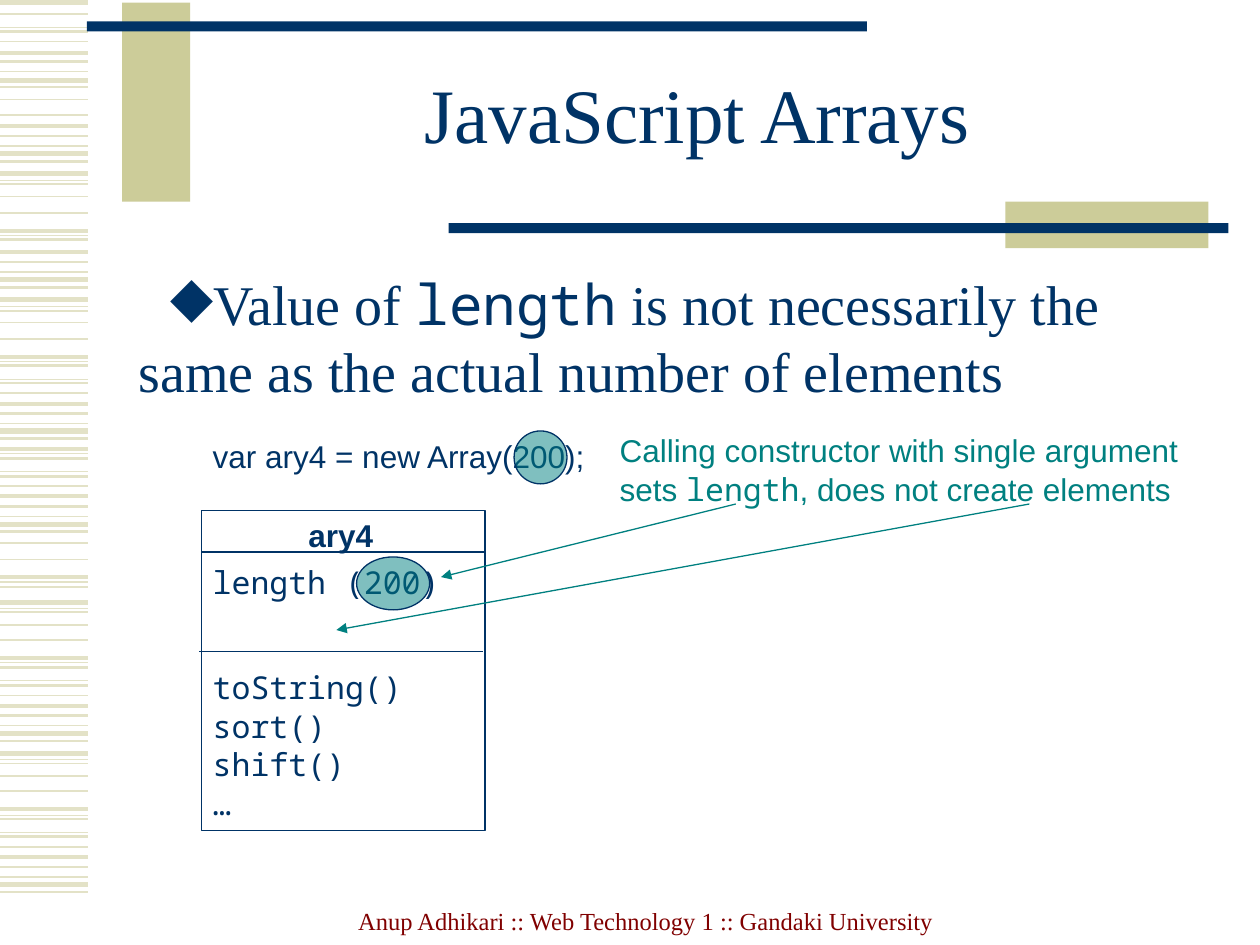
from lxml import etree
from pptx import Presentation
from pptx.dml.color import RGBColor
from pptx.enum.shapes import MSO_CONNECTOR, MSO_SHAPE
from pptx.enum.text import MSO_ANCHOR, MSO_AUTO_SIZE, PP_ALIGN
from pptx.oxml.ns import qn
from pptx.util import Inches, Pt

RECT, OVAL = MSO_SHAPE.RECTANGLE, MSO_SHAPE.OVAL
STRAIGHT = MSO_CONNECTOR.STRAIGHT
TOP, MIDDLE, BOTTOM = MSO_ANCHOR.TOP, MSO_ANCHOR.MIDDLE, MSO_ANCHOR.BOTTOM
LEFT, CENTER = PP_ALIGN.LEFT, PP_ALIGN.CENTER
FIXED, GROW = MSO_AUTO_SIZE.NONE, MSO_AUTO_SIZE.SHAPE_TO_FIT_TEXT

NAVY, TEAL, SAND, PALE, MAROON = "003366", "008080", "CCCC99", "E3E2C7", "800000"
SERIF, SANS, MONO = "Times New Roman", "Arial", "Noto Sans Mono"
STANDARD_INSETS = (0.1, 0.05, 0.1, 0.05)

# Margin stripes: line width in points -> heights on the page
STRIPE_WIDTH = 0.7
STRIPES = {
    3: [0.02, 0.64, 1.22, 1.38, 2.22, 2.38, 3.42, 4.16, 4.78, 5.82, 5.98, 7.02],
    2.25: [0.42, 1, 1.83, 2, 2.83, 3.21, 3.56, 3.94, 4.58, 5.22, 5.6, 6.42, 6.8],
    1.5: [0.11, 0.25, 0.49, 0.69, 1.08, 1.28, 1.9, 2.08, 2.28, 2.9, 3.04, 3.28, 3.48,
          3.64, 3.78, 4.02, 4.22, 4.66, 5.3, 5.44, 5.68, 5.88, 6.5, 6.64, 6.88, 7.08],
    1: [0.33, 0.79, 0.91, 1.46, 1.56, 1.69, 2.47, 2.56, 2.69, 3.12, 3.86, 4.31, 4.44,
        4.86, 4.96, 5.08, 5.52, 6.06, 6.16, 6.28, 6.72],
    0.75: [0.22, 0.57, 1.16, 1.43, 1.87, 2.16, 2.43, 2.87, 3.01, 3.36, 3.6, 3.74, 4.1,
           4.62, 4.83, 5.26, 5.4, 5.76, 6.03, 6.47, 6.61, 6.96],
}

# Decorative bars: place, colour
BARS = [
    ((0.97, 0.02, 0.54, 1.58), SAND),
    ((0.69, 0.17, 6.19, 0.08), NAVY),
    ((7.98, 1.6, 1.61, 0.37), SAND),
    ((3.56, 1.77, 6.19, 0.08), NAVY),
]

# Texts: each paragraph is a list of (text, font name)
TITLE = [[("JavaScript Arrays", SERIF)]]
FOOTER = [[("Anup Adhikari :: Web Technology 1 :: Gandaki University", SERIF)]]
POINT = [[("Value of ", SERIF), ("length", MONO),
          (" is not necessarily the same as the actual number of elements", SERIF)]]
METHODS = ["toString()", "sort()", "shift()", "…"]
REMARK = [
    [("Calling constructor with single argument", SANS)],
    [("sets ", SANS), ("length", MONO), (", does not create elements", SANS)],
]

# Diagram labels: place, paragraphs, font format
LABELS = [
    ((1.59, 3.42, 3.16, 0.4), [[("var ary4 = new Array(200);", SANS)]], {}),
    ((2.35, 4.05, 0.73, 0.4), [[("ary4", SANS)]], {"bold": True}),
    ((1.59, 4.42, 2, 0.4), [[("length (200)", MONO)]], {}),
    ((1.59, 5.25, 1.7, 1.32), [[(name, MONO)] for name in METHODS], {}),
    ((4.82, 3.37, 4.63, 0.71), REMARK, {"color": TEAL}),
]
OBJECT_BOX = (1.6, 4.05, 2.25, 2.54)
DIVIDERS = [(1.6, 4.38), (1.58, 5.17)]
HIGHLIGHTS = [(2.83, 4.42, 0.58, 0.42), (4.08, 3.42, 0.42, 0.42)]
ARROWS = [((5.84, 4), (3.5, 4.58)), ((8.17, 4), (2.67, 5))]


def rgb(value):
    return RGBColor.from_string(value)


def add_line(page, start, end, color, width=0.75, arrow=False):
    line = page.shapes.add_connector(STRAIGHT, *map(Inches, start + end))
    line.line.color.rgb = rgb(color)
    line.line.width = Pt(width)
    if arrow:
        etree.SubElement(line.line._get_or_add_ln(), qn("a:tailEnd"), type="triangle")
    etree.SubElement(line._element.spPr, qn("a:effectLst"))


def add_figure(page, kind, place, fill=None, outline=None, opacity=None):
    figure = page.shapes.add_shape(kind, *map(Inches, place))
    figure.shadow.inherit = False
    if fill:
        figure.fill.solid()
        figure.fill.fore_color.rgb = rgb(fill)
    else:
        figure.fill.background()
    if outline:
        figure.line.color.rgb = rgb(outline)
        figure.line.width = Pt(0.75)
    else:
        figure.line.fill.background()
    if opacity:
        color = figure._element.spPr.find(qn("a:solidFill"))[0]
        etree.SubElement(color, qn("a:alpha"), val=str(opacity * 1000))


def add_text(page, place, paragraphs, size=18, color=NAVY, bold=False, align=LEFT,
             anchor=TOP, insets=STANDARD_INSETS, wrap=False, spacing=None):
    box = page.shapes.add_textbox(*map(Inches, place))
    frame = box.text_frame
    frame.word_wrap = wrap
    frame.auto_size = FIXED if wrap else GROW
    frame.vertical_anchor = anchor
    for side, inset in zip(("left", "top", "right", "bottom"), insets):
        setattr(frame, "margin_" + side, Inches(inset))
    for index, spans in enumerate(paragraphs):
        para = frame.add_paragraph() if index else frame.paragraphs[0]
        para.alignment = align
        if index:
            para.space_before = Pt(0.3)
        para.space_after = Pt(0.3)
        if spacing:
            para.line_spacing = spacing
        for text, font in spans:
            span = para.add_run()
            span.text = text
            span.font.color.rgb = rgb(color)
            for key, value in {"name": font, "size": Pt(size), "bold": bold}.items():
                setattr(span.font, key, value)
    return frame


def add_bullet(para, mark, color, margin, indent):
    properties = para._p.get_or_add_pPr()
    properties.set("marL", str(Inches(margin)))
    properties.set("indent", str(Inches(indent)))
    tint = etree.SubElement(properties, qn("a:buClr"))
    etree.SubElement(tint, qn("a:srgbClr"), val=color)
    etree.SubElement(properties, qn("a:buChar"), char=mark)


def main():
    deck = Presentation()
    deck.slide_width, deck.slide_height = Inches(10), Inches(7.5)
    page = deck.slides.add_slide(deck.slide_layouts[6])

    # Background decoration
    for width, heights in STRIPES.items():
        for y in heights:
            add_line(page, (0, y), (STRIPE_WIDTH, y), PALE, width)
    for place, color in BARS:
        add_figure(page, RECT, place, fill=color)

    # Footer, title and main point
    add_text(page, (2, 6.97, 6.25, 0.5), FOOTER, 14, MAROON,
             align=CENTER, anchor=BOTTOM, wrap=True)
    add_text(page, (1.5, 0.33, 8.07, 1.25), TITLE, 44, align=CENTER, anchor=MIDDLE,
             insets=(0, 0, 0, 0), wrap=True, spacing=0.85)
    point = add_text(page, (0.89, 2.09, 8.7, 4.24), POINT, 32,
                     insets=(0.08, 0.05, 0.08, 0.05), wrap=True)
    add_bullet(point.paragraphs[0], "◆", NAVY, 0.13, 0.25)

    # Object diagram
    add_figure(page, RECT, OBJECT_BOX, outline=NAVY)
    for x, y in DIVIDERS:
        add_line(page, (x, y), (x + OBJECT_BOX[2], y), NAVY)
    for place, paragraphs, style in LABELS:
        add_text(page, place, paragraphs, **style)

    # Arrows and highlights
    for start, end in ARROWS:
        add_line(page, start, end, TEAL, arrow=True)
    for place in HIGHLIGHTS:
        add_figure(page, OVAL, place, fill=TEAL, outline=NAVY, opacity=50)

    deck.save("out.pptx")


if __name__ == "__main__":
    main()
